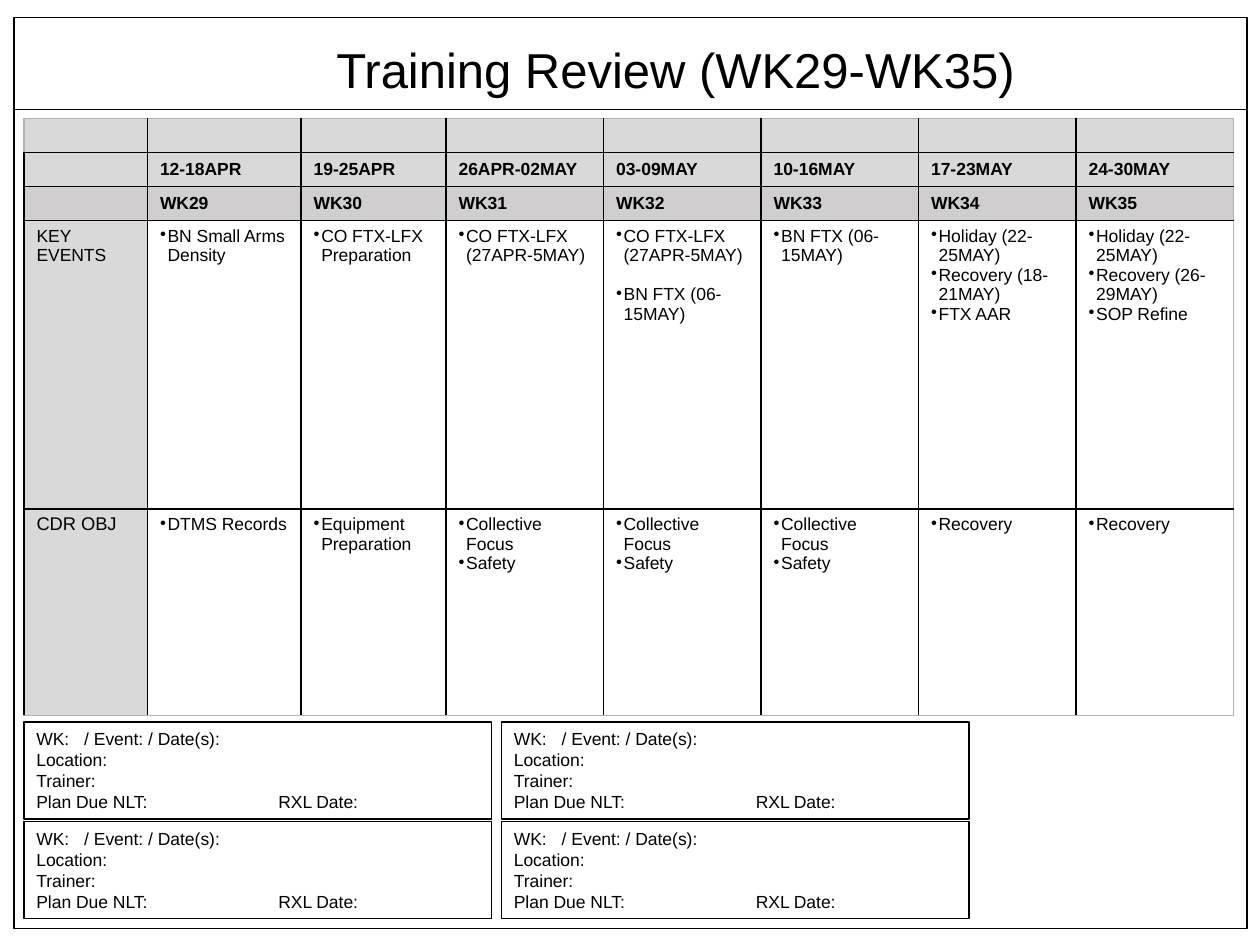
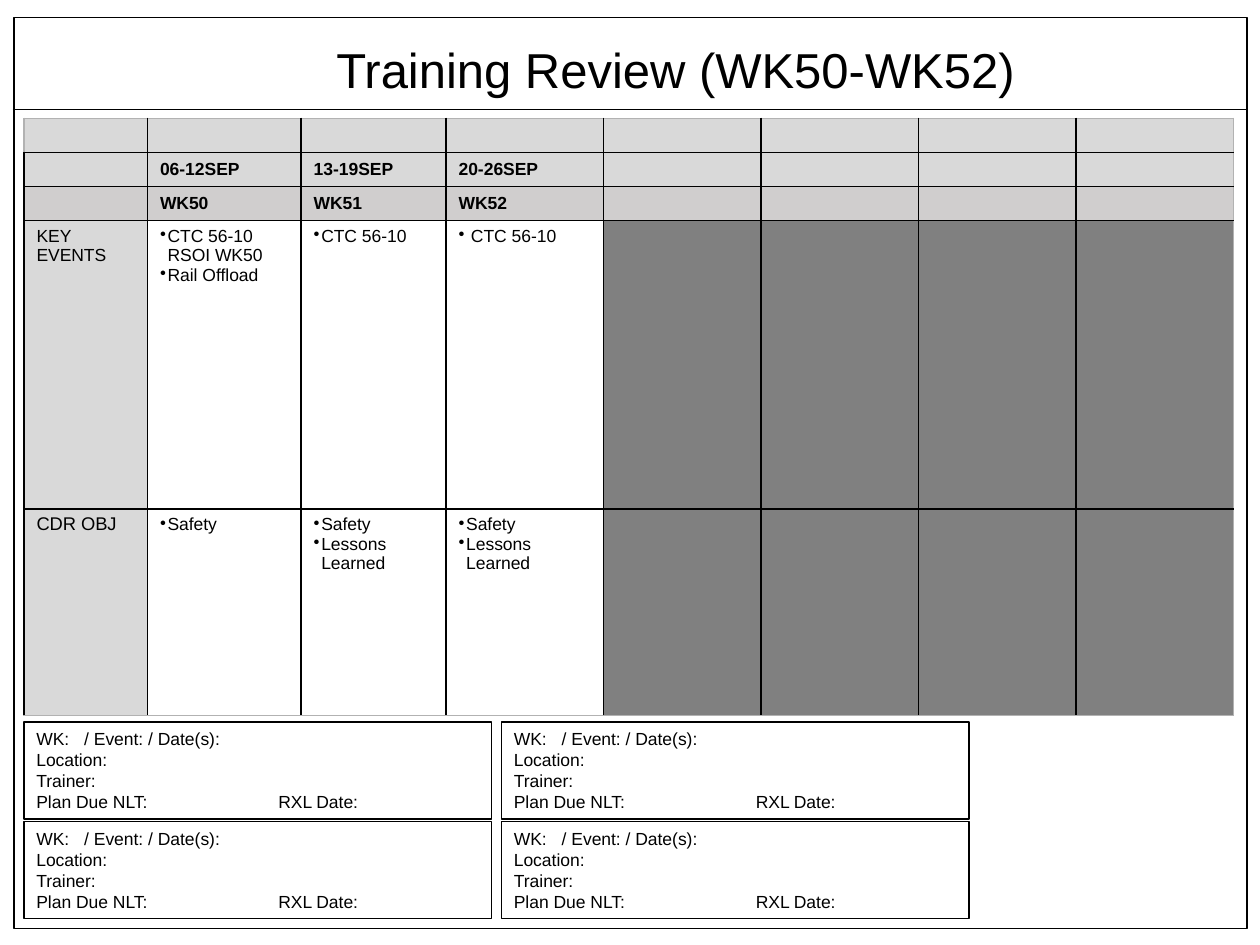
import pptx
import pptx.dml.color
import pptx.enum.shapes
import pptx.enum.text
import pptx.oxml.ns
import pptx.util
from lxml import etree

COLOURS = {"ink": "000000", "band": "D9D9D9", "week": "D0CECE",
           "unused": "808080", "edge": "B2B2B2"}
FONT = "Arial"
GRID = pptx.util.Inches(0.1)
COLUMNS = [9.8, 12.2, 11.5] + [12.5] * 5
ROWS = [2.7, 2.7, 2.7, 22.9, 16.4]
TABLE_LEFT, TABLE_TOP = 1.9, 9.4
BOX_LEFT, BOX_TOP = 1.9, 57.3
BOX_WIDTH, BOX_HEIGHT = 37.1, 7.7
BOX_STEP_X, BOX_STEP_Y = 37.9, 7.9
EVENT_FORM = ["WK:\t/ Event: / Date(s):", "Location:", "Trainer:",
              "Plan Due NLT:\tRXL Date:"]
FORM_TABS = {0: 3.8, 3: 19.2}

REVIEWS = [
    {
        "title": "Training Review (WK29-WK35)",
        "first_week": 29,
        "dates": ["12-18APR", "19-25APR", "26APR-02MAY", "03-09MAY",
                  "10-16MAY", "17-23MAY", "24-30MAY"],
        "events": [
            ["BN Small Arms Density"],
            ["CO FTX-LFX Preparation"],
            ["CO FTX-LFX (27APR-5MAY)"],
            ["CO FTX-LFX (27APR-5MAY)", "BN FTX (06-15MAY)"],
            ["BN FTX (06-15MAY)"],
            ["Holiday (22-25MAY)", "Recovery (18-21MAY)", "FTX AAR"],
            ["Holiday (22-25MAY)", "Recovery (26-29MAY)", "SOP Refine"],
        ],
        "objectives": [["DTMS Records"], ["Equipment Preparation"]]
        + [["Collective Focus", "Safety"]] * 3 + [["Recovery"]] * 2,
        "spaced_week": 32,
    },
    {
        "title": "Training Review (WK50-WK52)",
        "first_week": 50,
        "dates": ["06-12SEP", "13-19SEP", "20-26SEP"],
        "events": [["CTC 56-10 RSOI WK50", "Rail Offload"],
                   ["CTC 56-10"], [" CTC 56-10"]],
        "objectives": [["Safety"]] + [["Safety", "Lessons Learned"]] * 2,
        "spaced_week": None,
    },
]


def units(count):
    return round(count * GRID)


def area(*counts):
    return [units(count) for count in counts]


def colour(name):
    return pptx.dml.color.RGBColor.from_string(COLOURS[name])


def add_xml(parent, tag, **attributes):
    return etree.SubElement(parent, pptx.oxml.ns.qn(tag), attributes)


def format_runs(para, size, bold=False):
    for span in para.runs:
        span.font.name = FONT
        span.font.size = pptx.util.Pt(size)
        span.font.bold = bold
        span.font.color.rgb = colour("ink")


def add_title(page, text):
    title = page.shapes.title
    title.left, title.top, title.width, title.height = area(25.7, 2.6, 56.5, 5.7)
    frame = title.text_frame
    frame.text = text
    frame.word_wrap = False
    frame.auto_size = pptx.enum.text.MSO_AUTO_SIZE.NONE
    frame.vertical_anchor = pptx.enum.text.MSO_ANCHOR.MIDDLE
    frame.paragraphs[0].alignment = pptx.enum.text.PP_ALIGN.LEFT
    format_runs(frame.paragraphs[0], 28)


def add_outline(page, place, width):
    box = page.shapes.add_shape(pptx.enum.shapes.MSO_SHAPE.RECTANGLE, *place)
    box.shadow.inherit = False
    box.fill.background()
    box.line.color.rgb = colour("ink")
    box.line.width = pptx.util.Pt(width)
    return box


def add_page_frame(page):
    add_outline(page, area(1.1, 1.4, 97.9, 72.3), 1)
    rule = page.shapes.add_connector(
        pptx.enum.shapes.MSO_CONNECTOR.STRAIGHT, *area(1, 8.7, 98.9, 8.7))
    rule.line.color.rgb = colour("ink")
    rule.line.width = pptx.util.Pt(1)
    add_xml(rule._element.spPr, "a:effectLst")


def add_event_form(page, column, row):
    place = area(BOX_LEFT + column * BOX_STEP_X, BOX_TOP + row * BOX_STEP_Y,
                 BOX_WIDTH, BOX_HEIGHT)
    frame = add_outline(page, place, 0.75).text_frame
    frame.text = "\n".join(EVENT_FORM)
    frame.word_wrap = True
    frame.vertical_anchor = pptx.enum.text.MSO_ANCHOR.TOP
    for index, para in enumerate(frame.paragraphs):
        para.alignment = pptx.enum.text.PP_ALIGN.LEFT
        para.line_spacing = pptx.util.Pt(12)
        if index in FORM_TABS:
            tabs = add_xml(para._p.get_or_add_pPr(), "a:tabLst")
            add_xml(tabs, "a:tab", pos=str(units(FORM_TABS[index])), algn="l")
        format_runs(para, 10)


def set_borders(cell, row, column):
    sides = {
        "a:lnL": row == 0 and column == 0,
        "a:lnR": column == len(COLUMNS) - 1,
        "a:lnT": row == 0,
        "a:lnB": row == len(ROWS) - 1,
    }
    for tag, outer in sides.items():
        line = add_xml(cell._tc.get_or_add_tcPr(), tag, w="12700")
        fill = add_xml(line, "a:solidFill")
        add_xml(fill, "a:srgbClr", val=COLOURS["edge" if outer else "ink"])


def fill_cell(cell, lines, fill, size=10, bold=False, bullets=False, gap=0):
    if fill:
        cell.fill.solid()
        cell.fill.fore_color.rgb = colour(fill)
    else:
        cell.fill.background()
    cell.text_frame.text = "\n".join(lines)
    if bold:
        cell.vertical_anchor = pptx.enum.text.MSO_ANCHOR.MIDDLE
    for index, para in enumerate(cell.text_frame.paragraphs):
        para.line_spacing = pptx.util.Pt(11.15)
        if index and gap:
            para.space_before = pptx.util.Pt(gap)
        if bullets:
            properties = para._p.get_or_add_pPr()
            properties.set("marL", str(units(0.6)))
            properties.set("indent", str(units(-0.6)))
            add_xml(properties, "a:buChar", char="•")
        format_runs(para, size, bold)
        if not lines:
            add_xml(para._p, "a:endParaRPr", sz="1000")


def fill_week(table, column, review):
    index = column - 1
    used = index < len(review["dates"])
    week = review["first_week"] + index
    date = [review["dates"][index]] if used else []
    fill_cell(table.cell(1, column), date, "band", bold=True)
    fill_cell(table.cell(2, column), [f"WK{week}"] if used else [], "week", bold=True)
    for row, key in ((3, "events"), (4, "objectives")):
        lines = review[key][index] if used else []
        gap = 11.15 if key == "events" and week == review["spaced_week"] else 0
        fill_cell(table.cell(row, column), lines, None if used else "unused",
                  bullets=used, gap=gap)


def add_schedule(page, review):
    place = area(TABLE_LEFT, TABLE_TOP, sum(COLUMNS), sum(ROWS))
    table = page.shapes.add_table(len(ROWS), len(COLUMNS), *place).table
    table.first_row = table.horz_banding = False
    for column, width in enumerate(COLUMNS):
        table.columns[column].width = units(width)
    for row, height in enumerate(ROWS):
        table.rows[row].height = units(height)
        for column in range(len(COLUMNS)):
            set_borders(table.cell(row, column), row, column)
    for column in range(len(COLUMNS)):
        fill_cell(table.cell(0, column), [], "band")
    fill_cell(table.cell(1, 0), [], "band")
    fill_cell(table.cell(2, 0), [], "week")
    fill_cell(table.cell(3, 0), ["KEY EVENTS"], "band")
    fill_cell(table.cell(4, 0), ["CDR OBJ"], "band", size=10.5)
    for column in range(1, len(COLUMNS)):
        fill_week(table, column, review)


def add_review(deck, review):
    page = deck.slides.add_slide(deck.slide_layouts[5])
    add_page_frame(page)
    for column in range(2):
        for row in range(2):
            add_event_form(page, column, row)
    add_title(page, review["title"])
    add_schedule(page, review)


def main():
    deck = pptx.Presentation()
    deck.slide_width, deck.slide_height = area(100, 75)
    for review in REVIEWS:
        add_review(deck, review)
    deck.save("out.pptx")


if __name__ == "__main__":
    main()
